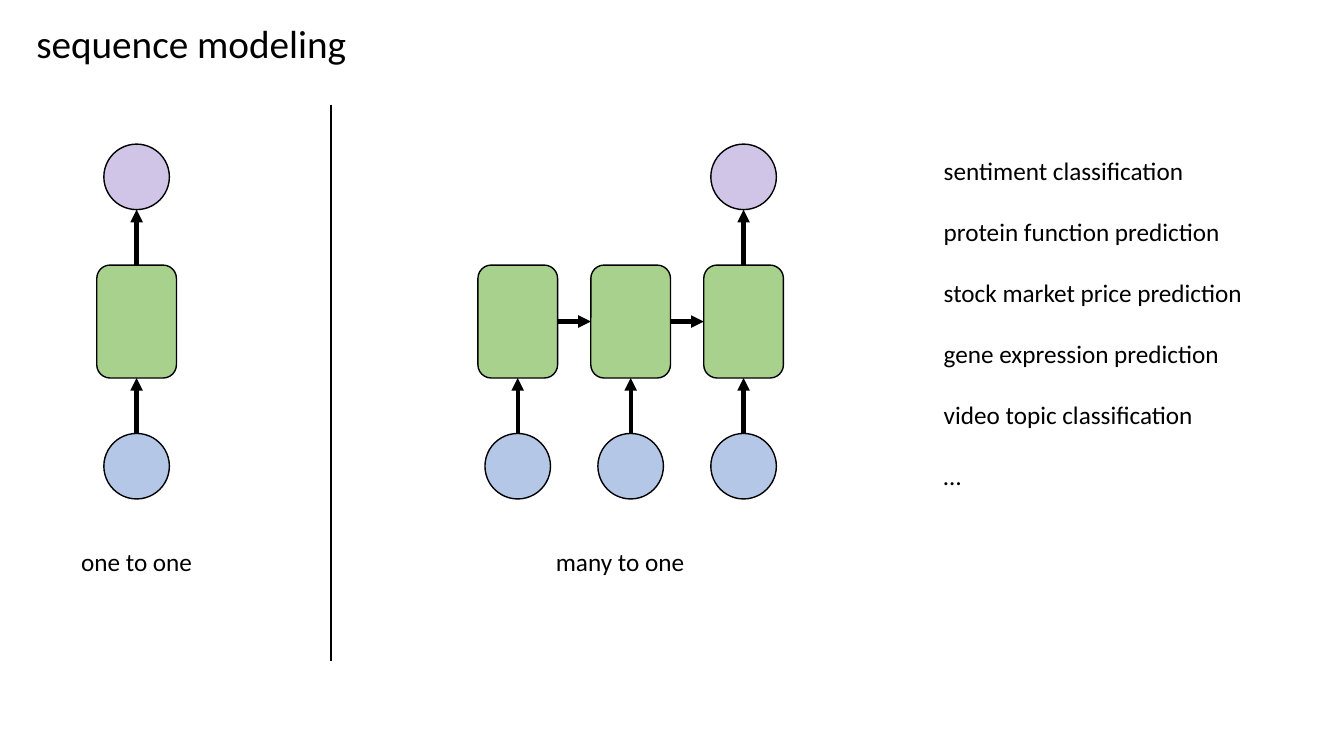
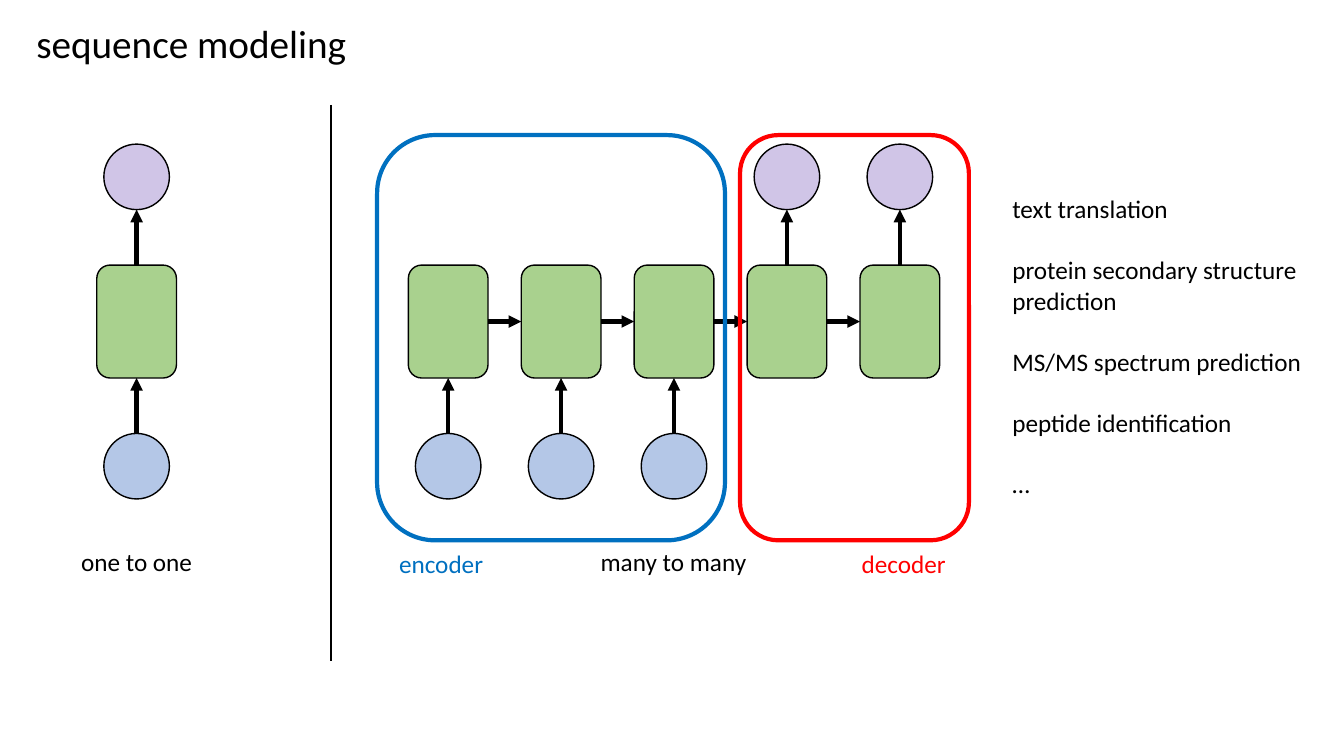
from dataclasses import dataclass

from lxml import etree
from pptx import Presentation
from pptx import util as u
from pptx.dml.color import RGBColor
from pptx.enum import shapes, text
from pptx.oxml import ns


@dataclass(frozen=True)
class Theme:
    font: str = "Calibri"
    title_size: int = 28
    text_size: int = 18
    item_gap: int = 22
    outline: float = 1
    divider: float = 1.5
    heavy: float = 3
    ink: str = "000000"
    cell: str = "A9D18E"
    source: str = "B4C7E7"
    result: str = "D0C5E7"
    encoder: str = "0070C0"
    decoder: str = "FF0000"


CELL_WIDTH, CELL_HEIGHT, CELL_TOP = 0.79, 1.12, 2.63
NODE_SIZE, INPUT_TOP, OUTPUT_TOP = 0.65, 4.3, 1.43
COLUMN_STEP = 1.12
SINGLE_LEFT = 0.96
CAPTION_TOP, ROLE_TOP, CAPTION_WIDTH = 5.37, 5.39, 2


class Deck:
    """Draws sequence diagrams on the current slide in one shared style."""

    def __init__(self, theme):
        self.theme = theme
        self.presentation = Presentation()
        self.presentation.slide_width = u.Inches(13.33)
        self.presentation.slide_height = u.Inches(7.5)
        self.slide = None

    def start_slide(self, title):
        self.slide = self.presentation.slides.add_slide(self.presentation.slide_layouts[1])
        frame = self.place(self.slide.shapes.title, 0.26, 0.14, 12.85, 0.57)
        self.add_text(frame.paragraphs[0], title, self.theme.title_size)

    def place(self, shape, left, top, width, height):
        shape.left, shape.top = u.Inches(left), u.Inches(top)
        shape.width, shape.height = u.Inches(width), u.Inches(height)
        frame = shape.text_frame
        frame.word_wrap = True
        frame.auto_size = text.MSO_AUTO_SIZE.NONE
        frame.vertical_anchor = text.MSO_ANCHOR.TOP
        return frame

    def add_text(self, paragraph, wording, size, color=None, align=text.PP_ALIGN.LEFT):
        paragraph.alignment = align
        run = paragraph.add_run()
        run.text = wording
        run.font.name = self.theme.font
        run.font.size = u.Pt(size)
        run.font.color.rgb = RGBColor.from_string(color or self.theme.ink)

    def items(self, wordings, left, top, width, height):
        frame = self.place(self.slide.placeholders[1], left, top, width, height)
        for index, wording in enumerate(wordings):
            paragraph = frame.add_paragraph() if index else frame.paragraphs[0]
            properties = paragraph._p.get_or_add_pPr()
            properties.set("marL", "0")
            properties.set("indent", "0")
            etree.SubElement(properties, ns.qn("a:buNone"))
            paragraph.space_before = u.Pt(self.theme.item_gap if index else 0)
            self.add_text(paragraph, wording, self.theme.text_size)

    def caption(self, wording, left, top, width, align=text.PP_ALIGN.CENTER, color=None):
        box = self.slide.shapes.add_textbox(0, 0, 0, 0)
        frame = self.place(box, left, top, width, 0.4)
        self.add_text(frame.paragraphs[0], wording, self.theme.text_size, color, align)

    def centered_caption(self, wording, center):
        self.caption(wording, center - CAPTION_WIDTH / 2, CAPTION_TOP, CAPTION_WIDTH)

    def shape(self, kind, left, top, width, height, line, weight, fill=None):
        shape = self.slide.shapes.add_shape(
            kind, u.Inches(left), u.Inches(top), u.Inches(width), u.Inches(height))
        shape.shadow.inherit = False
        if fill:
            shape.fill.solid()
            shape.fill.fore_color.rgb = RGBColor.from_string(fill)
        else:
            shape.fill.background()
        shape.line.color.rgb = RGBColor.from_string(line)
        shape.line.width = u.Pt(weight)
        return shape

    def cell(self, left):
        return self.shape(shapes.MSO_SHAPE.ROUNDED_RECTANGLE, left, CELL_TOP, CELL_WIDTH,
                          CELL_HEIGHT, self.theme.ink, self.theme.outline, self.theme.cell)

    def node(self, cell_left, top, fill):
        left = cell_left + (CELL_WIDTH - NODE_SIZE) / 2
        return self.shape(shapes.MSO_SHAPE.OVAL, left, top, NODE_SIZE, NODE_SIZE,
                          self.theme.ink, self.theme.outline, fill)

    def frame(self, left, top, width, height, color):
        self.shape(shapes.MSO_SHAPE.ROUNDED_RECTANGLE, left, top, width, height,
                   color, self.theme.heavy)

    def line(self, start, end, weight):
        x1, y1, x2, y2 = (u.Inches(value) for value in (*start, *end))
        connector = self.slide.shapes.add_connector(
            shapes.MSO_CONNECTOR.STRAIGHT, x1, y1, x2, y2)
        connector.line.color.rgb = RGBColor.from_string(self.theme.ink)
        connector.line.width = u.Pt(weight)
        etree.SubElement(connector._element.spPr, ns.qn("a:effectLst"))
        return connector

    def arrow(self, start, end):
        connector = self.line(start, end, self.theme.heavy)
        line = connector.line._get_or_add_ln()
        etree.SubElement(line, ns.qn("a:tailEnd"), type="triangle")
        return connector

    def network(self, left, count, inputs, outputs):
        cells = []
        for column in range(count):
            cell_left = left + column * COLUMN_STEP
            center = cell_left + CELL_WIDTH / 2
            cell = self.cell(cell_left)
            if column in inputs:
                source = self.node(cell_left, INPUT_TOP, self.theme.source)
                arrow = self.arrow((center, INPUT_TOP), (center, CELL_TOP + CELL_HEIGHT))
                arrow.begin_connect(source, 0)
                arrow.end_connect(cell, 2)
            if column in outputs:
                self.node(cell_left, OUTPUT_TOP, self.theme.result)
                arrow = self.arrow((center, CELL_TOP), (center, OUTPUT_TOP + NODE_SIZE))
                arrow.begin_connect(cell, 0)
            cells.append(cell)
        middle = CELL_TOP + CELL_HEIGHT / 2
        for column, (previous, following) in enumerate(zip(cells, cells[1:])):
            cell_left = left + column * COLUMN_STEP
            arrow = self.arrow((cell_left + CELL_WIDTH, middle),
                               (cell_left + COLUMN_STEP, middle))
            arrow.begin_connect(previous, 3)
            arrow.end_connect(following, 1)

    def comparison_slide(self):
        self.start_slide("sequence modeling")
        self.network(SINGLE_LEFT, 1, inputs={0}, outputs={0})
        self.centered_caption("one to one", SINGLE_LEFT + CELL_WIDTH / 2)
        self.line((3.28, 1.04), (3.28, 6.56), self.theme.divider)


def many_to_one(deck):
    deck.comparison_slide()
    deck.network(4.74, 3, inputs={0, 1, 2}, outputs={2})
    deck.centered_caption("many to one", 6.15)
    deck.items(["sentiment classification", "protein function prediction",
                "stock market price prediction", "gene expression prediction",
                "video topic classification", "…"], 9.26, 1.49, 3.52, 3.43)


def many_to_many(deck):
    theme = deck.theme
    deck.comparison_slide()
    deck.network(4.05, 5, inputs={0, 1, 2}, outputs={3, 4})
    deck.centered_caption("many to many", 6.68)
    deck.items(["text translation", "protein secondary structure prediction",
                "MS/MS spectrum prediction", "peptide identification", "…"],
               9.94, 1.87, 3.25, 3.13)
    deck.frame(3.74, 1.34, 3.45, 4.02, theme.encoder)
    deck.caption("encoder", 3.86, ROLE_TOP, 1.5, text.PP_ALIGN.LEFT, theme.encoder)
    deck.frame(7.34, 1.34, 2.27, 4.02, theme.decoder)
    deck.caption("decoder", 7.98, ROLE_TOP, 1.5, text.PP_ALIGN.RIGHT, theme.decoder)


def main():
    deck = Deck(Theme())
    many_to_one(deck)
    many_to_many(deck)
    deck.presentation.save("out.pptx")


if __name__ == "__main__":
    main()
